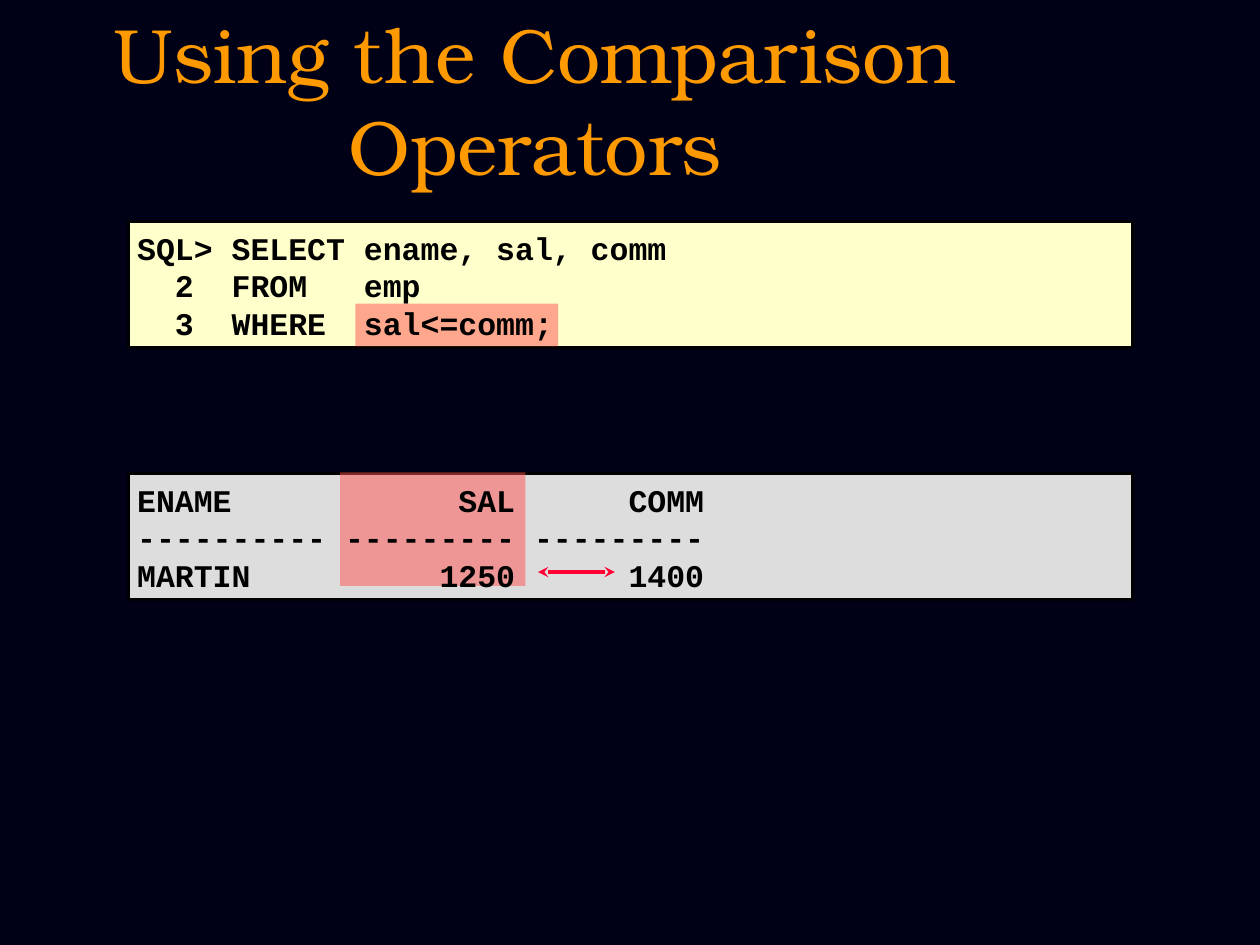
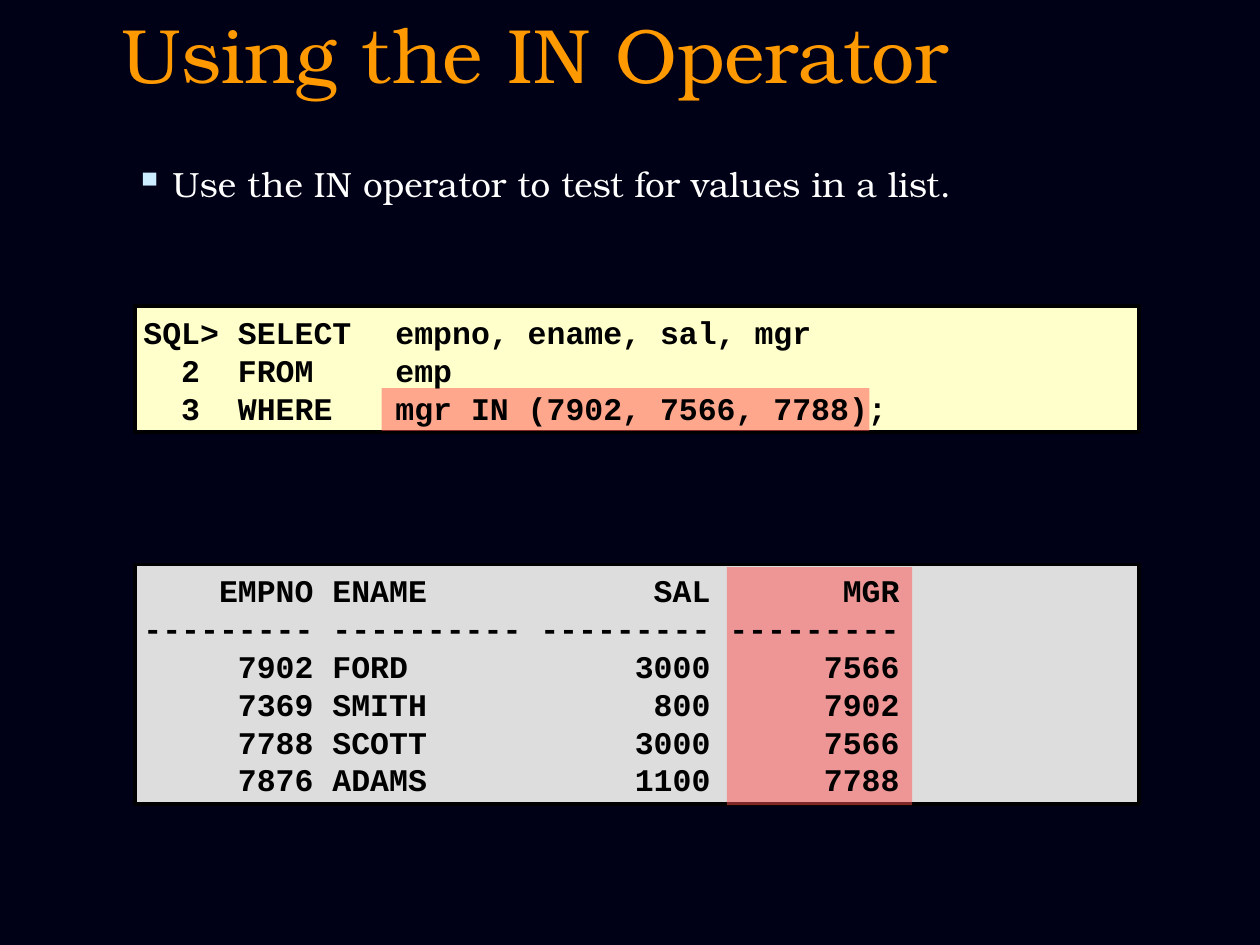
from dataclasses import dataclass

from lxml.etree import SubElement
from pptx import Presentation
from pptx.dml.color import RGBColor
from pptx.enum.shapes import MSO_CONNECTOR, MSO_SHAPE
from pptx.enum.text import MSO_ANCHOR, MSO_AUTO_SIZE, PP_ALIGN
from pptx.oxml.ns import qn
from pptx.slide import Slide
from pptx.util import Inches, Pt

NAVY = RGBColor(0x00, 0x00, 0x16)
ORANGE = RGBColor(0xFF, 0x99, 0x00)
WHITE = RGBColor(0xFF, 0xFF, 0xFF)
BLACK = RGBColor(0x00, 0x00, 0x00)
CREAM = RGBColor(0xFF, 0xFF, 0xCC)
GREY = RGBColor(0xDD, 0xDD, 0xDD)
CORAL = RGBColor(0xFF, 0x50, 0x50)
CRIMSON = RGBColor(0xFF, 0x00, 0x33)
BULLET_BLUE = "CCECFF"

SERIF = "TeX Gyre Bonum"
MONOSPACE = "Courier New"
PANEL_WIDTH = 7.97
CODE_TAB = 2.0
BULLET_INDENT = 0.3


@dataclass(frozen=True)
class Box:
    left: float
    top: float
    width: float
    height: float

    def lengths(self) -> tuple:
        return tuple(map(Inches, (self.left, self.top, self.width, self.height)))


@dataclass(frozen=True)
class Panel:
    left: float
    top: float
    height: float
    fill: RGBColor
    highlight: Box
    lines: tuple[str, ...]


COMPARISON_PANELS = (
    Panel(1.02, 1.76, 1, CREAM, Box(2.82, 2.41, 1.61, 0.34), (
        "SQL> SELECT ename, sal, comm",
        "  2  FROM   emp",
        "  3  WHERE  sal<=comm;",
    )),
    Panel(1.02, 3.76, 1, GREY, Box(2.7, 3.75, 1.47, 0.9), (
        "ENAME            SAL      COMM",
        "---------- --------- ---------",
        "MARTIN          1250      1400",
    )),
)

IN_PANELS = (
    Panel(1.07, 2.43, 1, CREAM, Box(3.03, 3.08, 3.87, 0.34), (
        "SQL> SELECT\tempno, ename, sal, mgr",
        "  2  FROM \temp",
        "  3  WHERE\tmgr IN (7902, 7566, 7788);",
    )),
    Panel(1.07, 4.48, 1.9, GREY, Box(5.77, 4.5, 1.47, 1.89), (
        "    EMPNO ENAME            SAL       MGR",
        "--------- ---------- --------- ---------",
        "     7902 FORD            3000      7566",
        "     7369 SMITH            800      7902",
        "     7788 SCOTT           3000      7566",
        "     7876 ADAMS           1100      7788",
    )),
)


def style_font(paragraph, name: str, size: float, color: RGBColor, bold: bool = False) -> None:
    font = paragraph.font
    font.name, font.size, font.bold = name, Pt(size), bold
    font.color.rgb = color


def add_titled_slide(presentation, title: str) -> Slide:
    slide = presentation.slides.add_slide(presentation.slide_layouts[5])
    slide.background.fill.solid()
    slide.background.fill.fore_color.rgb = NAVY
    shape = slide.shapes.title
    shape.left, shape.top, shape.width, shape.height = Box(0, 0, 8.5, 0.75).lengths()
    frame = shape.text_frame
    frame.text = title
    frame.auto_size = MSO_AUTO_SIZE.NONE
    frame.vertical_anchor = MSO_ANCHOR.TOP
    paragraph = frame.paragraphs[0]
    paragraph.alignment = PP_ALIGN.CENTER
    style_font(paragraph, SERIF, 44, ORANGE)
    return slide


def add_rectangle(slide: Slide, box: Box, fill: RGBColor):
    shape = slide.shapes.add_shape(MSO_SHAPE.RECTANGLE, *box.lengths())
    shape.shadow.inherit = False
    shape.fill.solid()
    shape.fill.fore_color.rgb = fill
    return shape


def add_highlight(slide: Slide, box: Box) -> None:
    shape = add_rectangle(slide, box, CORAL)
    shape.line.fill.background()
    color = shape._element.spPr.find(qn("a:solidFill"))[0]
    SubElement(color, qn("a:alpha"), val="50000")


def add_panel(slide: Slide, panel: Panel) -> None:
    box = Box(panel.left, panel.top, PANEL_WIDTH, panel.height)
    background = add_rectangle(slide, box, panel.fill)
    background.line.color.rgb = BLACK
    background.line.width = Pt(2)
    add_highlight(slide, panel.highlight)

    code_box = Box(box.left - 0.03, box.top - 0.01, box.width + 0.03, box.height + 0.03)
    frame = slide.shapes.add_textbox(*code_box.lengths()).text_frame
    frame.word_wrap = True
    frame.vertical_anchor = MSO_ANCHOR.MIDDLE
    frame.text = "\n".join(panel.lines)
    for paragraph in frame.paragraphs:
        tabs = SubElement(paragraph._p.get_or_add_pPr(), qn("a:tabLst"))
        SubElement(tabs, qn("a:tab"), pos=str(Inches(CODE_TAB)), algn="l")
        style_font(paragraph, MONOSPACE, 18, BLACK, bold=True)


def add_bullet(slide: Slide, box: Box, text: str) -> None:
    frame = slide.shapes.add_textbox(*box.lengths()).text_frame
    frame.word_wrap = True
    frame.text = text
    paragraph = frame.paragraphs[0]
    properties = paragraph._p.get_or_add_pPr()
    properties.set("marL", str(Inches(BULLET_INDENT)))
    properties.set("indent", str(-Inches(BULLET_INDENT)))
    SubElement(SubElement(properties, qn("a:buClr")), qn("a:srgbClr"), val=BULLET_BLUE)
    SubElement(properties, qn("a:buSzPct"), val="115000")
    SubElement(properties, qn("a:buChar"), char="▪")
    paragraph.line_spacing = 1.1
    paragraph.space_before = Pt(4)
    style_font(paragraph, SERIF, 20, WHITE)


def add_double_arrow(slide: Slide, left: float, right: float, height: float) -> None:
    ends = map(Inches, (left, height, right, height))
    connector = slide.shapes.add_connector(MSO_CONNECTOR.STRAIGHT, *ends)
    connector.line.color.rgb = CRIMSON
    connector.line.width = Pt(2)
    properties = connector._element.spPr
    for end in ("a:headEnd", "a:tailEnd"):
        SubElement(properties.find(qn("a:ln")), qn(end), type="stealth")
    SubElement(properties, qn("a:effectLst"))


def main() -> None:
    presentation = Presentation()
    presentation.slide_width = Inches(10)
    presentation.slide_height = Inches(7.5)

    comparison_slide = add_titled_slide(presentation, "Using the Comparison Operators")
    for panel in COMPARISON_PANELS:
        add_panel(comparison_slide, panel)
    add_double_arrow(comparison_slide, 4.27, 4.88, 4.54)

    in_slide = add_titled_slide(presentation, "Using the IN Operator")
    add_bullet(in_slide, Box(0.97, 1.21, 8.03, 0.47),
               "Use the IN operator to test for values in a list.")
    for panel in IN_PANELS:
        add_panel(in_slide, panel)

    presentation.save("out.pptx")


if __name__ == "__main__":
    main()
